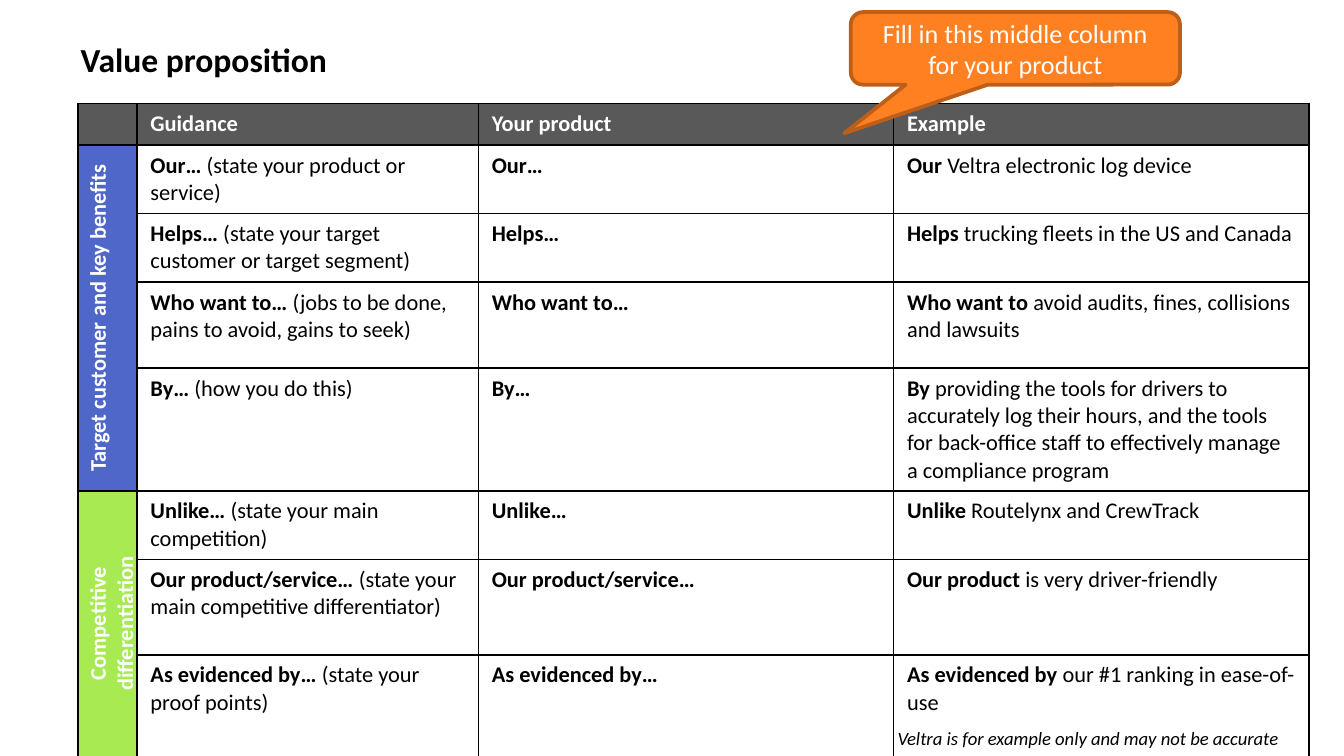
import pptx
import pptx.util
import pptx.dml.color
import pptx.enum.shapes
import pptx.enum.text
import pptx.oxml
import pptx.oxml.ns
import lxml.etree

Inches = pptx.util.Inches
Pt = pptx.util.Pt
ALIGN = pptx.enum.text.PP_ALIGN
ANCHOR = pptx.enum.text.MSO_ANCHOR
FONT = "Calibri"
BLACK, WHITE, HEADER_FILL = "000000", "FFFFFF", "595959"
SLIDE_WIDTH = Inches(10)
SLIDE_HEIGHT = SLIDE_WIDTH * 9 // 16

TITLE = "Value proposition"
CALLOUT = "Fill in this middle column for your product"
FOOTNOTE = "Veltra is for example only and may not be accurate"
HEADERS = ["", "Guidance", "Your product", "Example"]
GROUPS = [
    ("Target customer and key benefits", "4E67C8", [
        ("Our…", "(state your product or service)", "Our", "Veltra electronic log device"),
        ("Helps…", "(state your target customer or target segment)",
         "Helps", "trucking fleets in the US and Canada"),
        ("Who want to…", "(jobs to be done, pains to avoid, gains to seek)",
         "Who want to", "avoid audits, fines, collisions and lawsuits"),
        ("By…", "(how you do this)", "By",
         "providing the tools for drivers to accurately log their hours, and the tools "
         "for back-office staff to effectively manage a compliance program"),
    ]),
    ("Competitive differentiation", "A7EA52", [
        ("Unlike…", "(state your main competition)", "Unlike", "Routelynx and CrewTrack"),
        ("Our product/service…", "(state your main competitive differentiator)",
         "Our product", "is very driver-friendly"),
        ("As evidenced by…", "(state your proof points)",
         "As evidenced by", "our #1 ranking in ease-of-use"),
    ]),
]
COLUMN_WIDTHS = [0.44, 2.54, 3.09, 3.09]
ROW_HEIGHTS = [0.31, 0.51, 0.51, 0.64, 0.91, 0.51, 0.71, 0.75]
TABLE_LEFT, TABLE_TOP = 0.58, 0.77


def color(value):
    return pptx.dml.color.RGBColor.from_string(value)


def add_run(paragraph, text, size, fill, bold=False, italic=False):
    run = paragraph.add_run()
    run.text = text
    run.font.name = FONT
    run.font.size = Pt(size)
    run.font.bold = bold
    run.font.italic = italic
    run.font.color.rgb = color(fill)


def format_cell(cell, fill):
    properties = cell._tc.get_or_add_tcPr()
    for side in ("lnL", "lnR", "lnT", "lnB"):
        properties.append(pptx.oxml.parse_xml(
            f'<a:{side} {pptx.oxml.ns.nsdecls("a")} w="{Pt(1)}"><a:solidFill>'
            f'<a:srgbClr val="{BLACK}"/></a:solidFill></a:{side}>'))
    cell.fill.solid()
    cell.fill.fore_color.rgb = color(fill)


def fill_cell(cell, parts, text_color=BLACK):
    paragraph = cell.text_frame.paragraphs[0]
    for index, text in enumerate(parts):
        add_run(paragraph, text, 12, text_color, bold=index == 0)
    if not parts:
        end = lxml.etree.SubElement(paragraph._p, pptx.oxml.ns.qn("a:endParaRPr"))
        end.set("sz", "1200")


def add_title(slide):
    title = slide.shapes.title
    title.left, title.top, title.width, title.height = map(Inches, (0.5, 0.22, 4.92, 0.42))
    title.text_frame.vertical_anchor = ANCHOR.BOTTOM
    paragraph = title.text_frame.paragraphs[0]
    paragraph.alignment = ALIGN.LEFT
    add_run(paragraph, TITLE, 18, BLACK, bold=True)


def add_proposition_table(slide):
    table = slide.shapes.add_table(
        len(ROW_HEIGHTS), len(COLUMN_WIDTHS), Inches(TABLE_LEFT), Inches(TABLE_TOP),
        Inches(sum(COLUMN_WIDTHS)), Inches(sum(ROW_HEIGHTS))).table
    table.horz_banding = False
    for column, width in zip(table.columns, COLUMN_WIDTHS):
        column.width = Inches(width)
    for row, height in zip(table.rows, ROW_HEIGHTS):
        row.height = Inches(height)

    for index, header in enumerate(HEADERS):
        format_cell(table.cell(0, index), HEADER_FILL)
        fill_cell(table.cell(0, index), [header] if header else [], WHITE)

    first = 1
    for label, group_fill, rows in GROUPS:
        for row, (prompt, guidance, lead, example) in enumerate(rows, first):
            format_cell(table.cell(row, 0), group_fill)
            contents = [(prompt + " ", guidance), (prompt,), (lead + " ", example)]
            for column, parts in enumerate(contents, 1):
                format_cell(table.cell(row, column), WHITE)
                fill_cell(table.cell(row, column), parts)
        label_cell = table.cell(first, 0)
        label_cell.merge(table.cell(first + len(rows) - 1, 0))
        fill_cell(label_cell, [label], WHITE)
        label_cell.vertical_anchor = ANCHOR.MIDDLE
        label_cell.text_frame.paragraphs[0].alignment = ALIGN.CENTER
        label_cell._tc.get_or_add_tcPr().set("vert", "vert270")
        first += len(rows)


def add_callout(slide):
    callout = slide.shapes.add_shape(
        pptx.enum.shapes.MSO_SHAPE.ROUNDED_RECTANGULAR_CALLOUT,
        *map(Inches, (6.33, 0.09, 2.45, 0.54)))
    for index, value in enumerate((-0.52, 1.17, 0.17)):
        callout.adjustments[index] = value
    callout.shadow.inherit = False
    callout.fill.solid()
    callout.fill.fore_color.rgb = color("FF8021")
    callout.line.color.rgb = color("BD5F18")
    callout.line.width = Pt(2)
    callout.text_frame.word_wrap = True
    callout.text_frame.vertical_anchor = ANCHOR.MIDDLE
    paragraph = callout.text_frame.paragraphs[0]
    paragraph.alignment = ALIGN.CENTER
    add_run(paragraph, CALLOUT, 14, WHITE)


def add_footnote(slide):
    footnote = slide.shapes.add_textbox(*map(Inches, (6.58, 5.36, 3.17, 0.27)))
    footnote.text_frame.word_wrap = False
    footnote.text_frame.auto_size = pptx.enum.text.MSO_AUTO_SIZE.SHAPE_TO_FIT_TEXT
    add_run(footnote.text_frame.paragraphs[0], FOOTNOTE, 10, BLACK, italic=True)


def main():
    presentation = pptx.Presentation()
    presentation.slide_width = SLIDE_WIDTH
    presentation.slide_height = SLIDE_HEIGHT
    slide = presentation.slides.add_slide(presentation.slide_layouts[5])
    add_title(slide)
    add_proposition_table(slide)
    add_callout(slide)
    add_footnote(slide)
    presentation.save("out.pptx")


if __name__ == "__main__":
    main()
